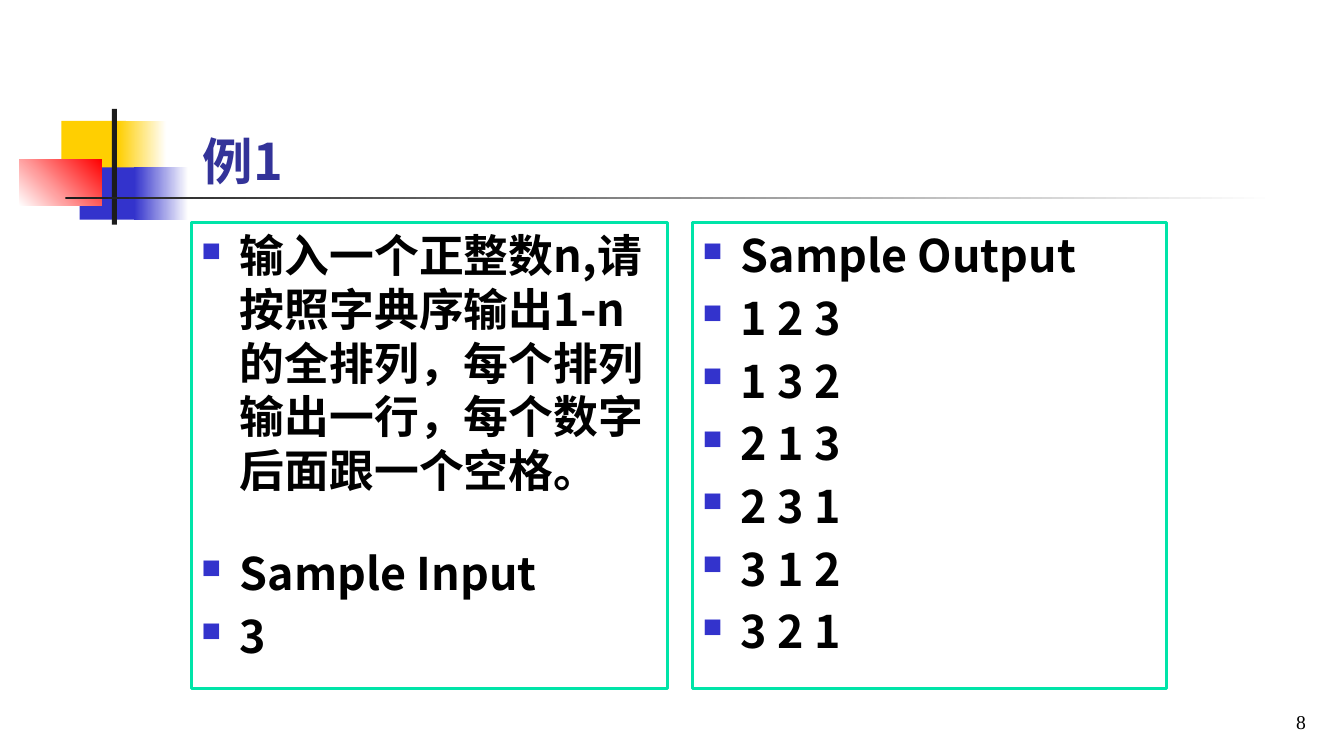
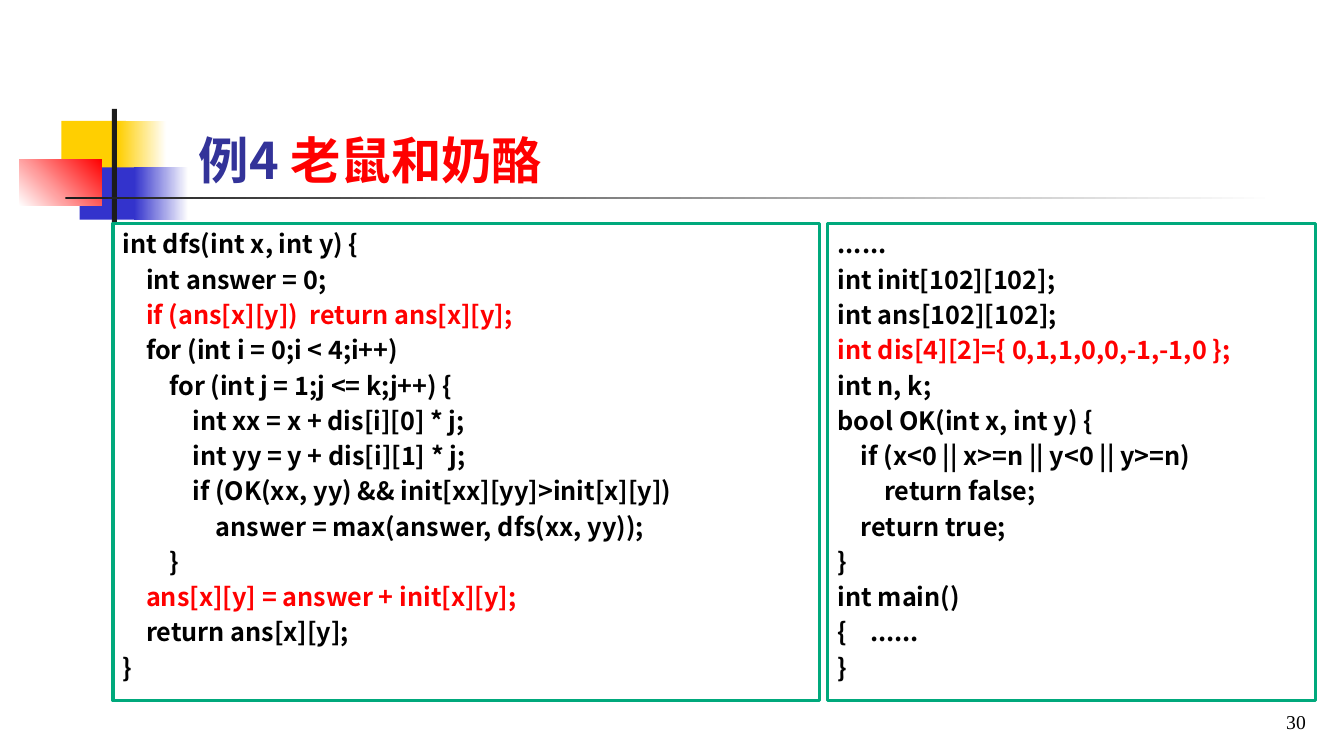
from dataclasses import dataclass
from typing import Optional

from lxml import etree
from pptx import Presentation
from pptx.dml.color import RGBColor
from pptx.enum.shapes import MSO_SHAPE
from pptx.enum.text import MSO_ANCHOR, MSO_AUTO_SIZE, PP_ALIGN
from pptx.oxml.ns import qn
from pptx.util import Inches, Pt

RECT = MSO_SHAPE.RECTANGLE
TOP, BOTTOM = MSO_ANCHOR.TOP, MSO_ANCHOR.BOTTOM
LEFT, RIGHT = PP_ALIGN.LEFT, PP_ALIGN.RIGHT
NO_FIT = MSO_AUTO_SIZE.NONE


@dataclass(frozen=True)
class Theme:
    gold: str = "FFCF01"
    blue: str = "3333CC"
    red: str = "FF0000"
    dark: str = "1C1C1C"
    white: str = "FFFFFF"
    black: str = "000000"
    navy: str = "333399"
    mint: str = "00E4A8"
    green: str = "00A97C"
    sans: str = "Noto Sans CJK SC"
    head: str = "Noto Sans CJK KR"
    asian: str = "Cabin"
    serif: str = "Times New Roman"
    title: int = 36
    body: int = 32
    code: int = 18
    page: int = 14
    pitch: float = 1.2
    lead: float = 0.2
    hang: float = 0.38
    step: float = 0.23


THEME = Theme()


@dataclass(frozen=True)
class Box:
    left: float
    top: float
    width: float
    height: float

    def place(self) -> tuple:
        return tuple(Inches(v) for v in (self.left, self.top, self.width, self.height))


@dataclass(frozen=True)
class Band:
    box: Box
    color: str
    fade: Optional[str] = None
    angle: int = 0


@dataclass(frozen=True)
class Row:
    text: str
    level: int = 0
    color: str = THEME.black
    gap: Optional[float] = None


@dataclass(frozen=True)
class Panel:
    box: Box
    rows: tuple
    size: int
    line: str
    weight: float
    bullet: bool = False


@dataclass(frozen=True)
class Page:
    number: str
    title: tuple
    place: Box
    panels: tuple


BANDS = (
    Band(Box(0.61, 1.2, 0.64, 0.52), THEME.gold),
    Band(Box(1.17, 1.2, 0.48, 0.52), THEME.gold, THEME.white),
    Band(Box(0.79, 1.66, 0.62, 0.52), THEME.blue),
    Band(Box(1.33, 1.66, 0.54, 0.52), THEME.blue, THEME.white),
    Band(Box(0.19, 1.58, 0.82, 0.46), THEME.white, THEME.red, 45),
    Band(Box(1.11, 1.08, 0.05, 1.15), THEME.dark),
    Band(Box(0.65, 1.95, 12, 0.03), THEME.dark, THEME.white),
)
NUMBER = Box(10.27, 6.83, 2.78, 0.5)

TASK = (
    Row("输入一个正整数n,请按照字典序输出1-n的全排列，每个排列输出一行，每个数字后面跟一个空格。"),
    Row("Sample Input", gap=35),
    Row("3"),
)
RESULT = tuple(Row(t) for t in (
    "Sample Output", "1 2 3", "1 3 2", "2 1 3", "2 3 1", "3 1 2", "3 2 1",
))
SEARCH = (
    Row("int dfs(int x, int y) {"),
    Row("int answer = 0;", 1),
    Row("if (ans[x][y])  return ans[x][y];", 1, THEME.red),
    Row("for (int i = 0;i < 4;i++)", 1),
    Row("for (int j = 1;j <= k;j++) {", 2),
    Row("int xx = x + dis[i][0] * j;", 3),
    Row("int yy = y + dis[i][1] * j;", 3),
    Row("if (OK(xx, yy) && init[xx][yy]>init[x][y])", 3),
    Row("answer = max(answer, dfs(xx, yy));", 4),
    Row("}", 2),
    Row("ans[x][y] = answer + init[x][y];", 1, THEME.red),
    Row("return ans[x][y];", 1),
    Row("}"),
)
SETUP = (
    Row("......"),
    Row("int init[102][102];"),
    Row("int ans[102][102];"),
    Row("int dis[4][2]={ 0,1,1,0,0,-1,-1,0 };", color=THEME.red),
    Row("int n, k;"),
    Row("bool OK(int x, int y) {"),
    Row("if (x<0 || x>=n || y<0 || y>=n)", 1),
    Row("return false;", 2),
    Row("return true;", 1),
    Row("}"),
    Row("int main()"),
    Row("{    ......"),
    Row("}"),
)

PAGES = (
    Page("8", (("例1", THEME.navy),), Box(1.91, 0.84, 9.09, 1.06), (
        Panel(Box(1.9, 2.21, 4.72, 4.62), TASK, THEME.body, THEME.mint, 2, True),
        Panel(Box(6.87, 2.21, 4.7, 4.62), RESULT, THEME.body, THEME.mint, 2, True),
    )),
    Page("30", (("例4 ", THEME.navy), ("老鼠和奶酪", THEME.red)), Box(1.87, 0.72, 9.56, 1.17), (
        Panel(Box(1.12, 2.22, 7.01, 4.73), SEARCH, THEME.code, THEME.green, 2.25),
        Panel(Box(8.21, 2.22, 4.84, 4.73), SETUP, THEME.code, THEME.green, 2.25),
    )),
)


def paint(color: str) -> RGBColor:
    return RGBColor.from_string(color)


def write(para, text: str, *, size: int, color: str = THEME.black, font: str = THEME.sans,
          asian: Optional[str] = None, bold: bool = True, align=LEFT) -> None:
    para.alignment = align
    run = para.add_run()
    run.text = text
    run.font.size = Pt(size)
    run.font.bold = bold
    run.font.name = font
    run.font.color.rgb = paint(color)
    props = run._r.get_or_add_rPr()
    etree.SubElement(props, qn("a:ea"), typeface=asian or font)


def frame(shape, anchor=TOP, foot: float = 0.05):
    area = shape.text_frame
    area.word_wrap = True
    area.auto_size = NO_FIT
    area.vertical_anchor = anchor
    area.margin_left = area.margin_right = Inches(0.1)
    area.margin_top, area.margin_bottom = Inches(0.05), Inches(foot)
    return area


def indent(para, left: float, hang: float = 0):
    props = para._p.get_or_add_pPr()
    props.set("marL", str(Inches(left)))
    props.set("indent", str(Inches(-hang)))
    return props


def mark(para) -> None:
    props = indent(para, THEME.hang, THEME.hang)
    color = etree.SubElement(props, qn("a:buClr"))
    etree.SubElement(color, qn("a:srgbClr"), val=THEME.blue)
    etree.SubElement(props, qn("a:buSzPct"), val="60000")
    etree.SubElement(props, qn("a:buFont"), typeface="Wingdings")
    etree.SubElement(props, qn("a:buChar"), char="n")


def draw_band(slide, band: Band):
    shape = slide.shapes.add_shape(RECT, *band.box.place())
    shape.shadow.inherit = False
    shape.line.fill.background()
    if band.fade:
        shape.fill.gradient()
        shape.fill.gradient_angle = band.angle
        for stop, color in zip(shape.fill.gradient_stops, (band.color, band.fade)):
            stop.color.rgb = paint(color)
    else:
        shape.fill.solid()
        shape.fill.fore_color.rgb = paint(band.color)
    return shape


def share_bands(slide, layout) -> None:
    tree = layout.shapes.element
    for i, band in enumerate(BANDS):
        tree.insert(2 + i, draw_band(slide, band).element)


def draw_title(slide, page: Page) -> None:
    title = slide.shapes.title
    title.left, title.top, title.width, title.height = page.place.place()
    para = frame(title, BOTTOM, 0.01).paragraphs[0]
    for text, color in page.title:
        write(para, text, size=THEME.title, color=color, font=THEME.head, asian=THEME.asian)


def draw_panel(slide, panel: Panel) -> None:
    shape = slide.shapes.add_textbox(*panel.box.place())
    shape.line.color.rgb = paint(panel.line)
    shape.line.width = Pt(panel.weight)
    area = frame(shape)
    for i, row in enumerate(panel.rows):
        para = area.add_paragraph() if i else area.paragraphs[0]
        para.line_spacing = Pt(panel.size * THEME.pitch)
        if i:
            para.space_before = Pt(row.gap or panel.size * THEME.lead)
        if panel.bullet:
            mark(para)
        else:
            indent(para, row.level * THEME.step)
        write(para, row.text, size=panel.size, color=row.color)


def draw_number(slide, text: str) -> None:
    shape = slide.shapes.add_textbox(*NUMBER.place())
    para = frame(shape, BOTTOM).paragraphs[0]
    write(para, text, size=THEME.page, font=THEME.serif, bold=False, align=RIGHT)


def main() -> None:
    deck = Presentation()
    deck.slide_width, deck.slide_height = Inches(13.33), Inches(7.5)
    layout = deck.slide_layouts[5]
    for i, page in enumerate(PAGES):
        slide = deck.slides.add_slide(layout)
        if i == 0:
            share_bands(slide, layout)
        draw_title(slide, page)
        for panel in page.panels:
            draw_panel(slide, panel)
        draw_number(slide, page.number)
    deck.save("out.pptx")


if __name__ == "__main__":
    main()
